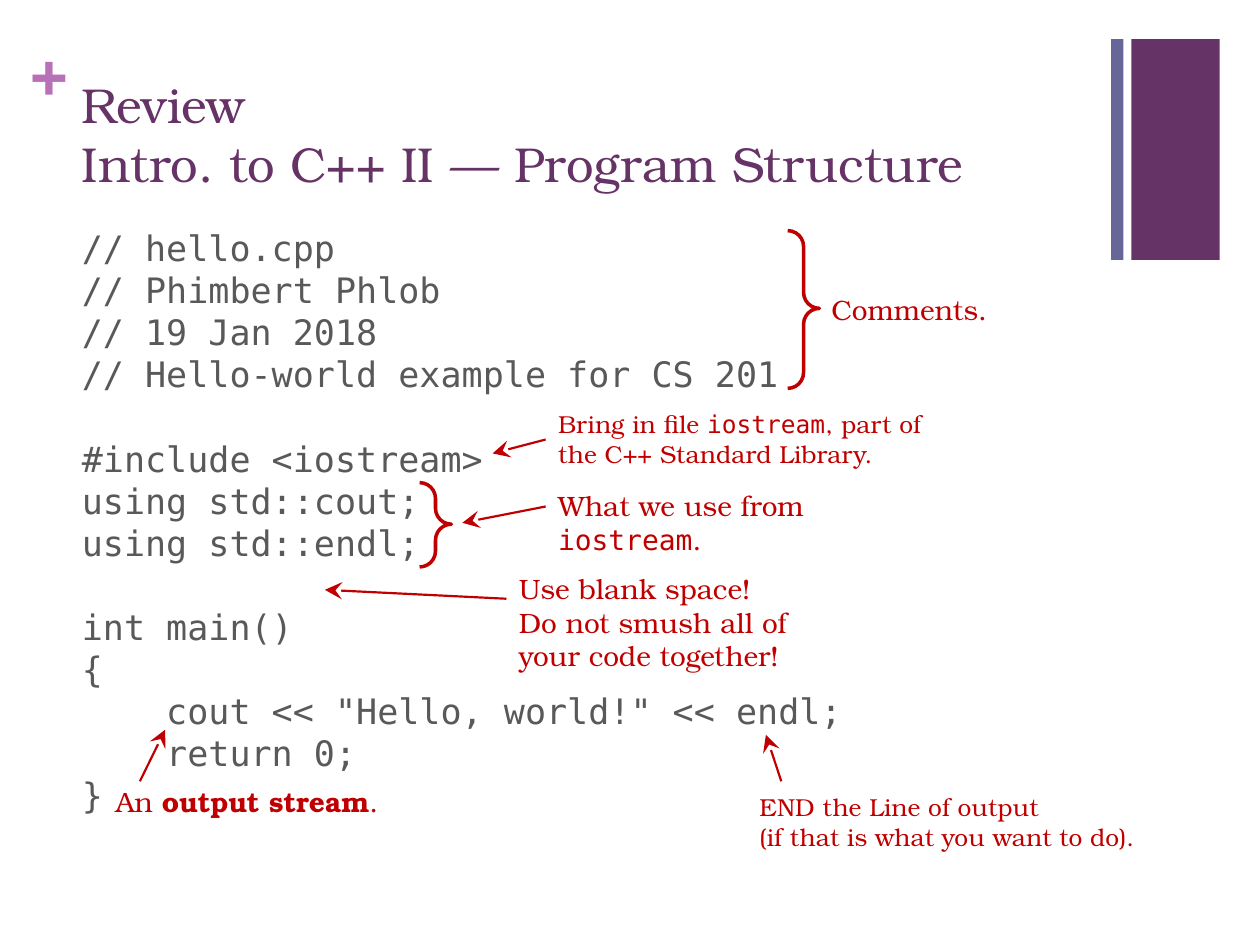
from lxml import etree
from pptx import Presentation
from pptx.dml.color import RGBColor
from pptx.enum.shapes import MSO_CONNECTOR, MSO_SHAPE
from pptx.enum.text import MSO_ANCHOR
from pptx.oxml.ns import qn
from pptx.util import Cm, Pt

RECTANGLE, BRACE = MSO_SHAPE.RECTANGLE, MSO_SHAPE.RIGHT_BRACE
STRAIGHT = MSO_CONNECTOR.STRAIGHT
TOP, MIDDLE = MSO_ANCHOR.TOP, MSO_ANCHOR.MIDDLE

COLORS = {"purple": "663366", "slate": "666699", "orchid": "B870B8",
          "code": "595959", "note": "C00000"}
SERIF, MONO = "TeX Gyre Bonum", "DejaVu Sans Mono"

# Content: boxes are left, top, width, height in cm
TITLE = "Review\nIntro. to C++ II — Program Structure"
CODE = """// hello.cpp
// Phimbert Phlob
// 19 Jan 2018
// Hello-world example for CS 201

#include <iostream>
using std::cout;
using std::endl;

int main()
{
    cout << "Hello, world!" << endl;
    return 0;
}"""
BARS = [((22.81, 0.79, 1.78, 4.45), "purple"), ((22.4, 0.79, 0.25, 4.45), "slate")]
BRACES = [(8.46, 9.73, 0.64, 1.7), (15.88, 4.65, 0.64, 3.18)]
IOSTREAM = ("iostream", {"name": MONO})
NOTES = [  # box, text size, runs
    ((11, 8.13, 8.26, 1.45), 14,
     [("Bring in file ", {}), IOSTREAM, (", part of the C++ Standard Library.", {})]),
    ((11, 9.73, 8.4, 0.94), 16, [("What we use from ", {}), IOSTREAM, (".", {})]),
    ((16.51, 5.77, 4.37, 0.94), 16, [("Comments.", {})]),
    ((10.21, 11.4, 6.48, 2.31), 16,
     [("Use blank space!\nDo not smush all of your code together!", {})]),
    ((15.06, 15.85, 8.46, 1.45), 14,
     [("END the Line of output\n(if that is what you want to do).", {})]),
    ((2.08, 15.7, 6.48, 0.94), 16,
     [("An ", {}), ("output stream", {"bold": True}), (".", {})]),
]
ARROWS = [  # start x, y, tip x, y
    (11, 8.86, 9.93, 9.14), (11, 10.21, 9.32, 10.54),
    (10.21, 12.07, 6.55, 11.89), (15.75, 15.75, 15.44, 14.81),
    (2.82, 15.75, 3.33, 14.71),
]

presentation = Presentation()
presentation.slide_width, presentation.slide_height = Cm(25.4), Cm(19.05)
slide = presentation.slides.add_slide(presentation.slide_layouts[6])


def lengths(values):
    return [Cm(value) for value in values]


def rgb(name):
    return RGBColor.from_string(COLORS[name])


def set_line(line, width):
    line.color.rgb = rgb("note")
    line.width = Pt(width)


def add_text(box, runs, size, color, font=SERIF, bold=False, anchor=TOP,
             inset=None, line_spacing=None):
    frame = slide.shapes.add_textbox(*lengths(box)).text_frame
    frame.word_wrap = True
    frame.vertical_anchor = anchor
    if inset is not None:
        for side in ("left", "top", "right", "bottom"):
            setattr(frame, f"margin_{side}", Cm(inset))
    paragraph = frame.paragraphs[0]
    if line_spacing:
        paragraph.line_spacing = Pt(line_spacing)
    for text, changes in runs:
        for index, part in enumerate(text.split("\n")):
            if index:
                paragraph.add_line_break()
            if not part:
                continue
            run = paragraph.add_run()
            run.text = part
            values = {"name": font, "size": Pt(size), "bold": bold, **changes}
            for attribute, value in values.items():
                setattr(run.font, attribute, value)
            run.font.color.rgb = rgb(color)


# Corner bars and plus sign
for box, color in BARS:
    bar = slide.shapes.add_shape(RECTANGLE, *lengths(box))
    bar.shadow.inherit = False
    bar.fill.solid()
    bar.fill.fore_color.rgb = rgb(color)
    bar.line.fill.background()
add_text((0.61, 0.64, 0.74, 1.55), [("+", {})], 36, "orchid", bold=True, inset=0)

# Title and program
add_text((1.4, 1.35, 20.98, 2.67), [(TITLE, {})], 28, "purple", anchor=MIDDLE)
add_text((1.4, 4.45, 20.98, 13.13), [(CODE, {})], 20, "code", MONO, line_spacing=24)

# Braces beside the code
for box in BRACES:
    brace = slide.shapes.add_shape(BRACE, *lengths(box))
    brace.shadow.inherit = False
    brace.fill.background()
    brace.adjustments[0], brace.adjustments[1] = 0.5, 0.493
    set_line(brace.line, 2)

# Notes and their arrows
for box, size, runs in NOTES:
    add_text(box, runs, size, "note")
for ends in ARROWS:
    arrow = slide.shapes.add_connector(STRAIGHT, *lengths(ends))
    set_line(arrow.line, 1.25)
    etree.SubElement(arrow.line._get_or_add_ln(), qn("a:tailEnd"), type="stealth",
                     w="lg", len="lg")
    etree.SubElement(arrow._element.spPr, qn("a:effectLst"))

presentation.save("out.pptx")
